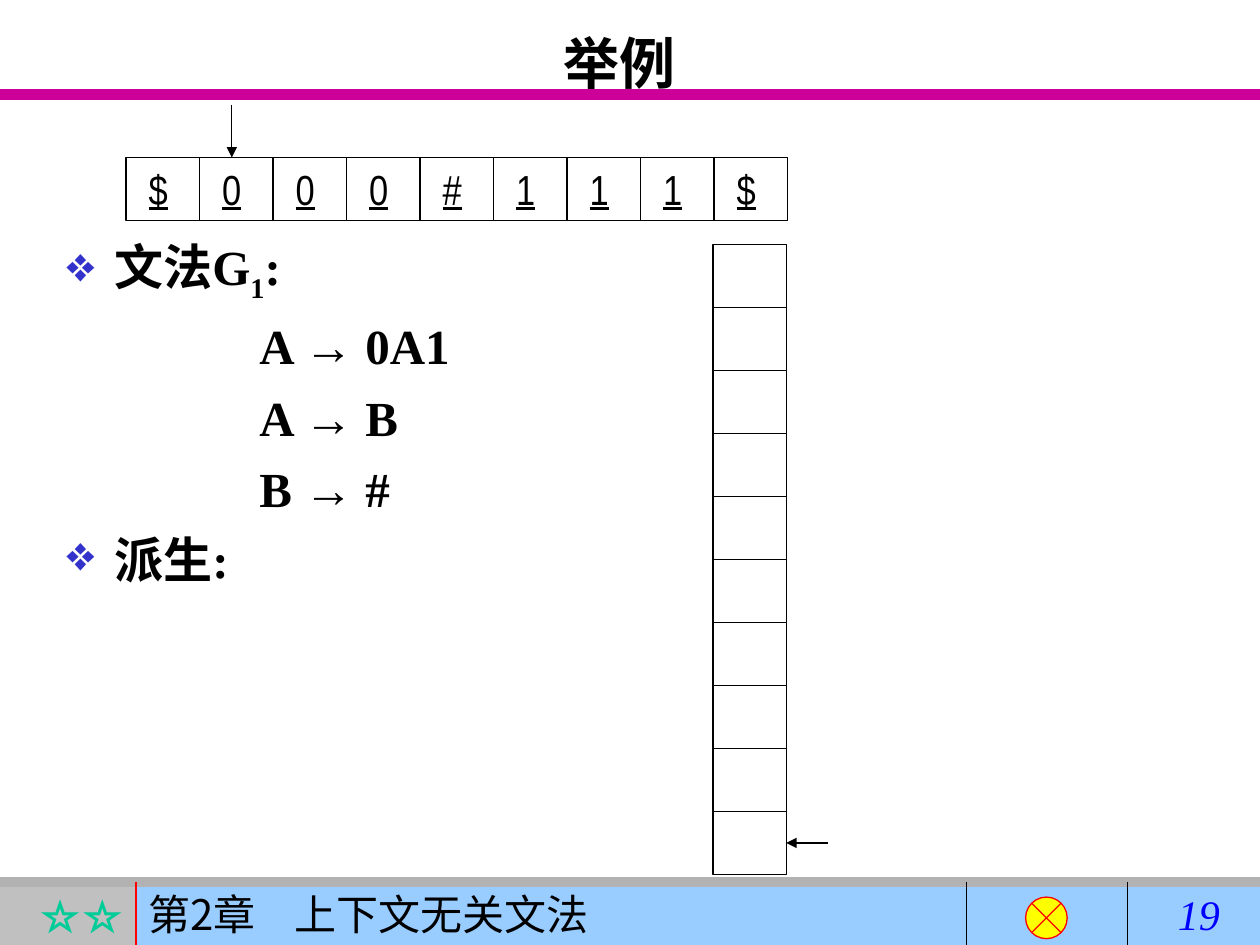
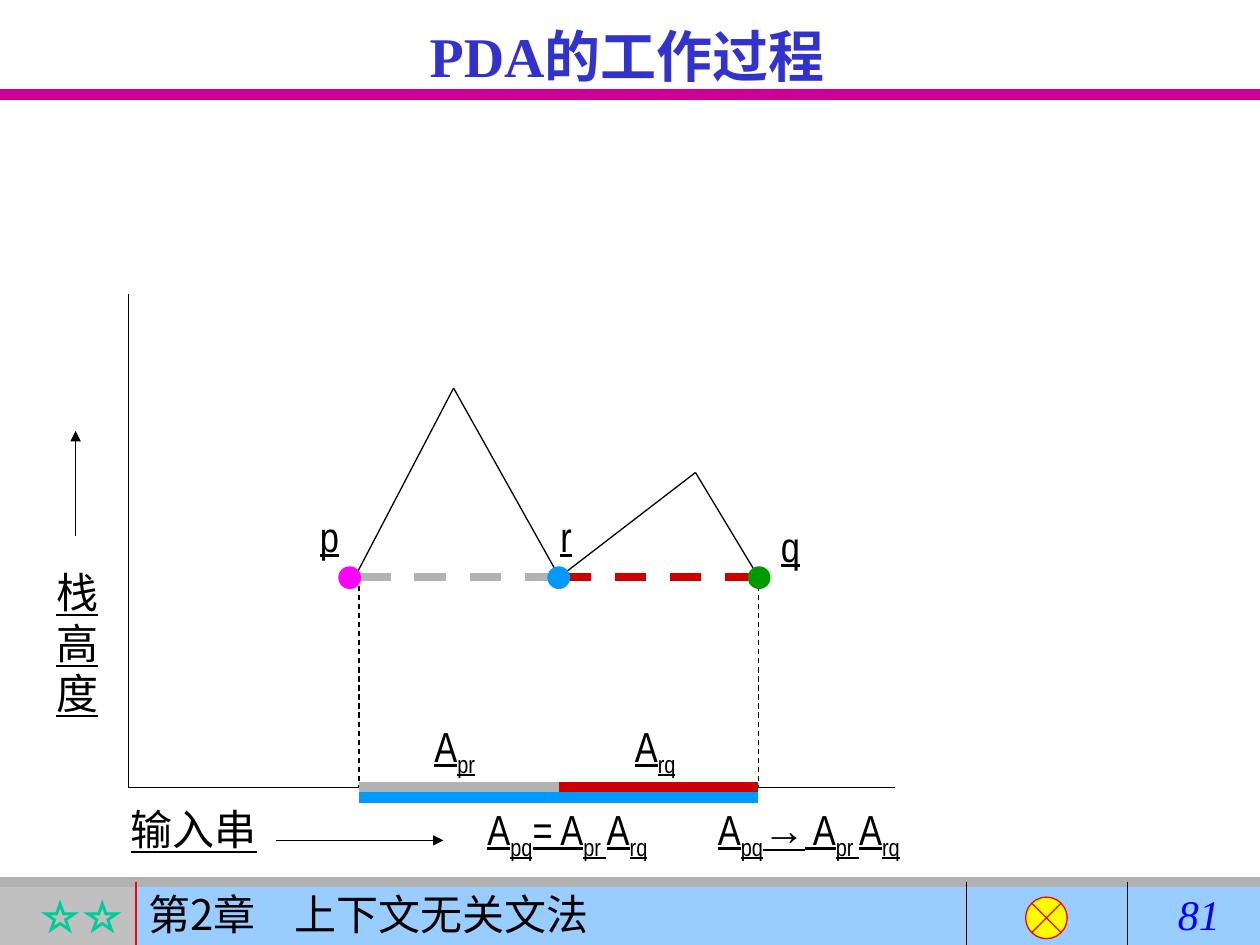
import dataclasses
import typing

import lxml.etree
import pptx
import pptx.dml.color
import pptx.enum.dml
import pptx.enum.shapes
import pptx.enum.text
import pptx.oxml.ns
import pptx.util

Inches = pptx.util.Inches
Pt = pptx.util.Pt
SHAPE = pptx.enum.shapes.MSO_SHAPE
ALIGN = pptx.enum.text.PP_ALIGN
qn = pptx.oxml.ns.qn

BLACK, BLUE, GREY, RED, SKY = "000000", "3333CC", "B2B2B2", "CC0000", "0099FF"
SERIF, SANS, NARROW, HAN = "Times New Roman", "Arial", "Arial Narrow", "Noto Sans CJK SC"


@dataclasses.dataclass(frozen=True)
class Style:
    size: float = 24
    face: str = NARROW
    color: str = BLACK
    bold: bool = False
    slant: bool = False
    under: bool = False
    align: typing.Any = ALIGN.LEFT


@dataclasses.dataclass(frozen=True)
class Line:
    start: tuple[float, float]
    end: tuple[float, float]
    color: str = BLACK
    width: float = 0.75
    dash: bool = False
    arrow: bool = False


@dataclasses.dataclass(frozen=True)
class Label:
    x: float
    y: float
    w: float
    h: float
    words: list[str]  # a leading "_" marks a subscript


@dataclasses.dataclass(frozen=True)
class Item:
    words: list[str]
    bullet: bool = False


MARK = Style(under=True)
BODY = Style(28, SERIF, bold=True)

CHROME = [
    Line((0, 7), (10, 7), GREY, 6),
    Line((1.08, 7), (1.08, 7.5), "FF0000"),
    Line((7.67, 7), (7.67, 7.5)),
    Line((8.95, 7), (8.95, 7.5)),
]


def tint(code: str) -> pptx.dml.color.RGBColor:
    return pptx.dml.color.RGBColor.from_string(code)


def add_xml(parent: typing.Any, tag: str, **attrs: str) -> typing.Any:
    return lxml.etree.SubElement(parent, qn(tag), attrs)


def write(para: typing.Any, words: list[str], style: Style) -> None:
    """Fill one paragraph with runs and set its font."""
    para.alignment = style.align
    font = para.font
    font.size, font.name = Pt(style.size), style.face
    font.bold, font.italic, font.underline = style.bold, style.slant, style.under
    font.color.rgb = tint(style.color)
    add_xml(para._p.pPr.find(qn("a:defRPr")), "a:ea", typeface=HAN)
    for word in words:
        run = para.add_run()
        run.text = word.removeprefix("_")
        if word.startswith("_"):
            run._r.get_or_add_rPr().set("baseline", "-25000")
        if word == "→":
            run.font.name = SANS


def add_text(slide: typing.Any, spot: Label, style: Style) -> typing.Any:
    box = slide.shapes.add_textbox(Inches(spot.x), Inches(spot.y), Inches(spot.w), Inches(spot.h))
    box.text_frame.word_wrap = True
    if spot.words:
        write(box.text_frame.paragraphs[0], spot.words, style)
    return box.text_frame


def add_shape(slide: typing.Any, kind: typing.Any, x: float, y: float, w: float, h: float,
              fill: str | None = None, edge: str | None = None) -> typing.Any:
    shape = slide.shapes.add_shape(kind, Inches(x), Inches(y), Inches(w), Inches(h))
    shape.shadow.inherit = False
    if fill:
        shape.fill.solid()
        shape.fill.fore_color.rgb = tint(fill)
    else:
        shape.fill.background()
    if edge:
        shape.line.color.rgb = tint(edge)
        shape.line.width = Pt(0.75)
    else:
        shape.line.fill.background()
    shape.text_frame.vertical_anchor = pptx.enum.text.MSO_ANCHOR.TOP
    return shape


def add_lines(slide: typing.Any, lines: list[Line]) -> None:
    for line in lines:
        ends = [Inches(v) for v in (*line.start, *line.end)]
        link = slide.shapes.add_connector(pptx.enum.shapes.MSO_CONNECTOR.STRAIGHT, *ends)
        link.line.color.rgb = tint(line.color)
        link.line.width = Pt(line.width)
        if line.dash:
            link.line.dash_style = pptx.enum.dml.MSO_LINE.DASH
        props = link._element.spPr
        if line.arrow:
            add_xml(props.find(qn("a:ln")), "a:tailEnd", type="triangle")
        add_xml(props, "a:effectLst")


def start(deck: typing.Any, title: Label, color: str, page: str) -> typing.Any:
    """Add a slide with the shared rule, footer band and title."""
    slide = deck.slides.add_slide(deck.slide_layouts[6])
    add_lines(slide, [Line((0, 0.75), (10, 0.75), "CC0099", 6)])
    stars = add_shape(slide, SHAPE.RECTANGLE, 0, 7, 1.08, 0.5, "C0C0C0")
    write(stars.text_frame.paragraphs[0], ["☆☆"],
          Style(face=SERIF, color="00CC99", bold=True, align=ALIGN.RIGHT))
    band = add_shape(slide, SHAPE.RECTANGLE, 1.08, 7, 8.92, 0.5, "99CCFF")
    para = band.text_frame.paragraphs[0]
    tabs = add_xml(para._p.get_or_add_pPr(), "a:tabLst")
    add_xml(tabs, "a:tab", pos=str(Inches(1.16)), algn="l")
    write(para, ["第2章\t上下文无关文法"], Style(face=HAN))
    add_lines(slide, CHROME)
    add_shape(slide, SHAPE.FLOWCHART_SUMMING_JUNCTION, 8.14, 7.12, 0.33, 0.33, "FFFF00", "FF0000")
    add_text(slide, Label(9.25, 7, 0.75, 0.5, [page]),
             Style(face=SERIF, color="0000FF", slant=True))
    add_text(slide, title, Style(32, SERIF, color, bold=True, align=ALIGN.CENTER))
    return slide


def add_items(slide: typing.Any, items: list[Item]) -> None:
    frame = add_text(slide, Label(0.43, 1.83, 4.92, 5.08, []), BODY)
    for i, item in enumerate(items):
        para = frame.add_paragraph() if i else frame.paragraphs[0]
        props = para._p.get_or_add_pPr()
        if item.bullet:
            props.set("marL", str(Inches(0.38)))
            props.set("indent", str(-Inches(0.38)))
            add_xml(add_xml(props, "a:buClr"), "a:srgbClr", val=BLUE)
            add_xml(props, "a:buChar", char="❖")
        else:
            props.set("marL", str(Inches(1.53)))
            add_xml(props, "a:buNone")
        if i:
            para.space_before = Pt(7)
        write(para, item.words, BODY)


def draw_tape(deck: typing.Any) -> None:
    """Input tape, grammar and empty stack."""
    slide = start(deck, Label(0.67, 0.18, 8.5, 1.25, ["举例"]), BLACK, "19")
    add_items(slide, [
        Item(["文法G", "_1", ":"], True),
        Item(["A ", "→", " 0A1"]),
        Item(["A ", "→", " B"]),
        Item(["B ", "→", " #"]),
        Item(["派生:"], True),
    ])
    wide, high = 7 / 12, 0.5
    for i, sign in enumerate("$000#111$"):
        cell = add_shape(slide, SHAPE.RECTANGLE, 1 + i * wide, 1.25, wide, high, edge=BLACK)
        cell.text_frame.margin_left = Inches(0.18)
        cell.text_frame.margin_right = 0
        write(cell.text_frame.paragraphs[0], [sign], MARK)
    for row in range(10):
        add_shape(slide, SHAPE.RECTANGLE, 5.66, 1.94 + row * high, wide, high, edge=BLACK)
    add_lines(slide, [Line((1.84, 0.83), (1.84, 1.25), arrow=True),
                      Line((6.57, 6.69), (6.24, 6.69), arrow=True)])


def draw_graph(deck: typing.Any) -> None:
    """Stack height plotted against the input string."""
    slide = start(deck, Label(0.48, 0.12, 9, 1.25, ["PDA的工作过程"]), BLUE, "81")
    left, mid, right = 2.85, 4.44, 6.02
    level, base, under = 4.58, 6.25, 6.33
    peaks = [(2.77, 4.67), (3.6, 3.08), (mid, level), (5.52, 3.75), (right, level)]
    halves = [(left, mid, GREY), (mid, right, RED)]

    # Axes, direction arrows and the height curve
    add_lines(slide, [
        Line((1.02, base), (7.1, base)),
        Line((1.02, base), (1.02, 2.33)),
        Line((2.19, 6.67), (3.52, 6.67), arrow=True),
        Line((0.6, 4.25), (0.6, 3.42), arrow=True),
    ])
    add_lines(slide, [Line(a, b) for a, b in zip(peaks, peaks[1:])])

    # Dashed guides and input segments
    add_lines(slide, [Line((a, level), (b, level), hue, 4.5, dash=True) for a, b, hue in halves])
    add_lines(slide, [Line((x, level), (x, base), dash=True) for x in (left, right)])
    add_lines(slide, [Line((a, base), (b, base), hue, 6) for a, b, hue in halves])
    add_lines(slide, [Line((left, under), (right, under), SKY, 6)])

    # State dots
    for x, hue in [(2.69, "FF00FF"), (4.35, SKY), (5.94, "009900")]:
        add_shape(slide, SHAPE.OVAL, x, 4.5, 0.17, 0.17, hue, hue)

    # Labels
    for label in [
        Label(0.94, 6.33, 1.42, 0.5, ["输入串"]),
        Label(0.35, 4.45, 0.5, 1.3, ["栈高度"]),
        Label(2.44, 4, 0.5, 0.5, ["p"]),
        Label(4.35, 4, 0.5, 0.5, ["r"]),
        Label(6.1, 4.08, 0.5, 0.5, ["q"]),
        Label(3.35, 5.67, 0.67, 0.56, ["A", "_pr"]),
        Label(4.94, 5.67, 0.67, 0.56, ["A", "_rq"]),
        Label(3.77, 6.33, 1.83, 0.56, ["A", "_pq", "= A", "_pr ", "A", "_rq"]),
        Label(5.6, 6.33, 1.83, 0.56, ["A", "_pq", "→", " A", "_pr ", "A", "_rq"]),
    ]:
        add_text(slide, label, MARK)


def main() -> None:
    deck = pptx.Presentation()
    deck.slide_width, deck.slide_height = Inches(10), Inches(7.5)
    draw_tape(deck)
    draw_graph(deck)
    deck.save("out.pptx")


if __name__ == "__main__":
    main()
